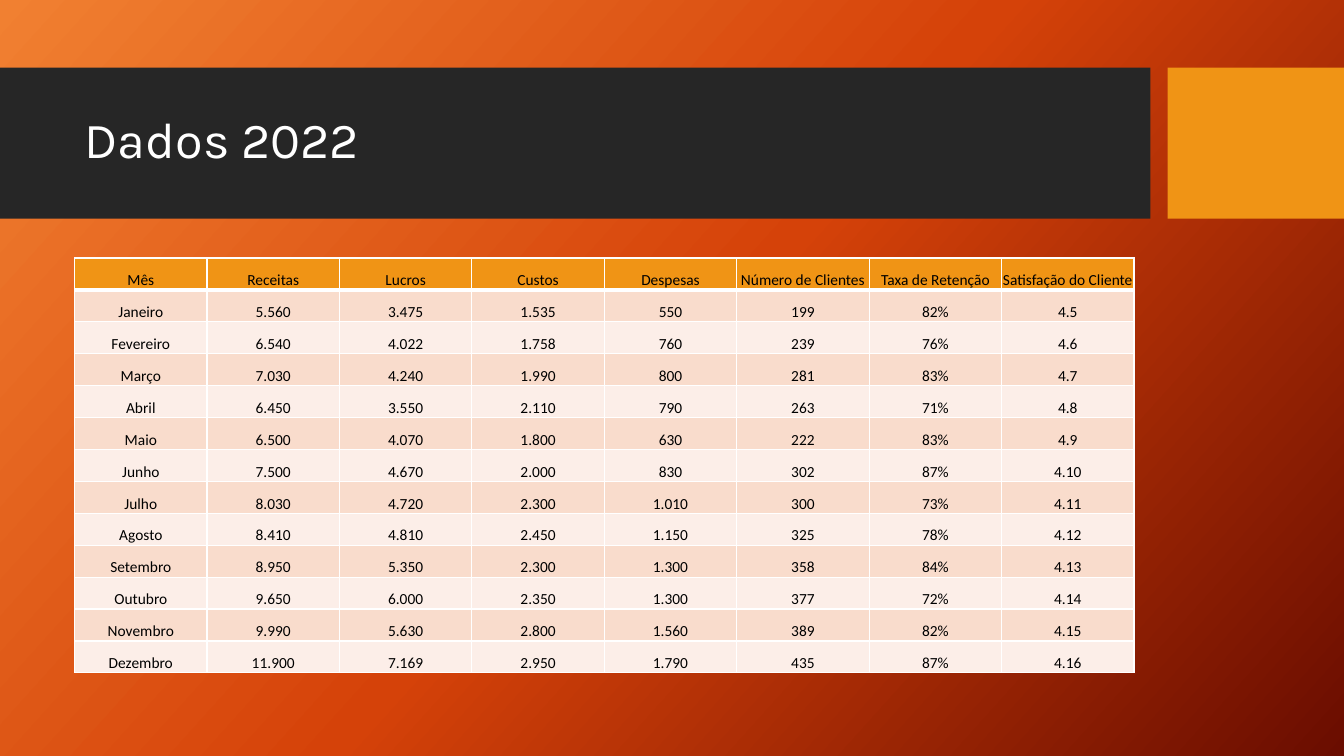
from copy import deepcopy

from lxml.etree import SubElement
from pptx import Presentation
from pptx.dml.color import RGBColor
from pptx.enum.shapes import MSO_SHAPE
from pptx.enum.text import MSO_ANCHOR, PP_ALIGN
from pptx.oxml.ns import qn
from pptx.util import Inches, Pt

WHITE = RGBColor(0xFF, 0xFF, 0xFF)
BLACK = RGBColor(0x00, 0x00, 0x00)
CHARCOAL = RGBColor(0x26, 0x26, 0x26)
AMBER = RGBColor(0xF0, 0x94, 0x15)
ROW_DARK = RGBColor(0xF9, 0xDC, 0xCC)
ROW_LIGHT = RGBColor(0xFC, 0xEE, 0xE8)
BACKGROUND = (
    RGBColor(0xF1, 0x80, 0x31),
    RGBColor(0xD5, 0x42, 0x09),
    RGBColor(0x6A, 0x0D, 0x00),
)

HEADER = (
    "Mês", "Receitas", "Lucros", "Custos", "Despesas",
    "Número de Clientes", "Taxa de Retenção", "Satisfação do Cliente",
)
MONTHS = (
    ("Janeiro", "5.560", "3.475", "1.535", "550", "199", "82%", "4.5"),
    ("Fevereiro", "6.540", "4.022", "1.758", "760", "239", "76%", "4.6"),
    ("Março", "7.030", "4.240", "1.990", "800", "281", "83%", "4.7"),
    ("Abril", "6.450", "3.550", "2.110", "790", "263", "71%", "4.8"),
    ("Maio", "6.500", "4.070", "1.800", "630", "222", "83%", "4.9"),
    ("Junho", "7.500", "4.670", "2.000", "830", "302", "87%", "4.10"),
    ("Julho", "8.030", "4.720", "2.300", "1.010", "300", "73%", "4.11"),
    ("Agosto", "8.410", "4.810", "2.450", "1.150", "325", "78%", "4.12"),
    ("Setembro", "8.950", "5.350", "2.300", "1.300", "358", "84%", "4.13"),
    ("Outubro", "9.650", "6.000", "2.350", "1.300", "377", "72%", "4.14"),
    ("Novembro", "9.990", "5.630", "2.800", "1.560", "389", "82%", "4.15"),
    ("Dezembro", "11.900", "7.169", "2.950", "1.790", "435", "87%", "4.16"),
)


def paint_background(page):
    fill = page.background.fill
    fill.gradient()
    fill.gradient_angle = 360 - 42
    stop_list = page.element.find(".//" + qn("a:gsLst"))
    stop_list.insert(1, deepcopy(stop_list[0]))
    for index, (stop, color) in enumerate(zip(fill.gradient_stops, BACKGROUND)):
        stop.position = index / 2
        stop.color.rgb = color


def add_band(page, left, width, color):
    """Add a title band behind everything already on the page."""
    band = page.shapes.add_shape(
        MSO_SHAPE.RECTANGLE, Inches(left), Inches(0.67), Inches(width), Inches(1.5))
    band.shadow.inherit = False
    band.fill.solid()
    band.fill.fore_color.rgb = color
    band.line.fill.background()
    page.shapes.element.insert(2, band.element)


def write(frame, text, *, font, size, color, align, spacing=None):
    para = frame.paragraphs[0]
    para.alignment = align
    para.line_spacing = spacing
    span = para.add_run()
    span.text = text
    span.font.name = font
    span.font.size = Pt(size)
    span.font.color.rgb = color


def add_title(page, text):
    title = page.shapes.title
    title.left, title.top = Inches(0.74), Inches(0.82)
    title.width, title.height = Inches(10.51), Inches(1.18)
    title.text_frame.vertical_anchor = MSO_ANCHOR.MIDDLE
    write(title.text_frame, text, font="Karla", size=36, color=WHITE,
          align=PP_ALIGN.LEFT, spacing=0.9)


def set_borders(cell, **widths):
    """Draw white borders; widths are points by side: lnL, lnR, lnT, lnB."""
    properties = cell._tc.get_or_add_tcPr()
    for index, (side, width) in enumerate(widths.items()):
        border = SubElement(properties, qn(f"a:{side}"), w=str(Pt(width)))
        fill = SubElement(border, qn("a:solidFill"))
        SubElement(fill, qn("a:srgbClr"), val=str(WHITE))
        properties.insert(index, border)


def fill_cell(cell, text, color):
    cell.fill.solid()
    cell.fill.fore_color.rgb = color
    cell.vertical_anchor = MSO_ANCHOR.BOTTOM
    cell.margin_left = cell.margin_right = cell.margin_top = Inches(0.01)
    cell.margin_bottom = 0
    write(cell.text_frame, text, font="Calibri", size=11, color=BLACK,
          align=PP_ALIGN.CENTER)


def add_data_table(page, rows):
    table = page.shapes.add_table(
        len(rows), len(rows[0]),
        Inches(0.74), Inches(2.56), Inches(10.51), Inches(4.12)).table
    for row_index, row in enumerate(rows):
        banding = ROW_DARK if row_index % 2 else ROW_LIGHT
        color = banding if row_index else AMBER
        for column_index, text in enumerate(row):
            cell = table.cell(row_index, column_index)
            fill_cell(cell, text, color)
            set_borders(cell, lnL=1, lnR=1,
                        lnT=3 if row_index == 1 else 1,
                        lnB=3 if row_index == 0 else 1)


def main():
    deck = Presentation()
    deck.slide_width, deck.slide_height = Inches(13.33), Inches(7.5)
    page = deck.slides.add_slide(deck.slide_layouts[5])
    paint_background(page)
    add_band(page, 11.58, 1.75, AMBER)
    add_band(page, 0, 11.41, CHARCOAL)
    add_title(page, "Dados 2022")
    add_data_table(page, (HEADER, *MONTHS))
    deck.save("out.pptx")


if __name__ == "__main__":
    main()
